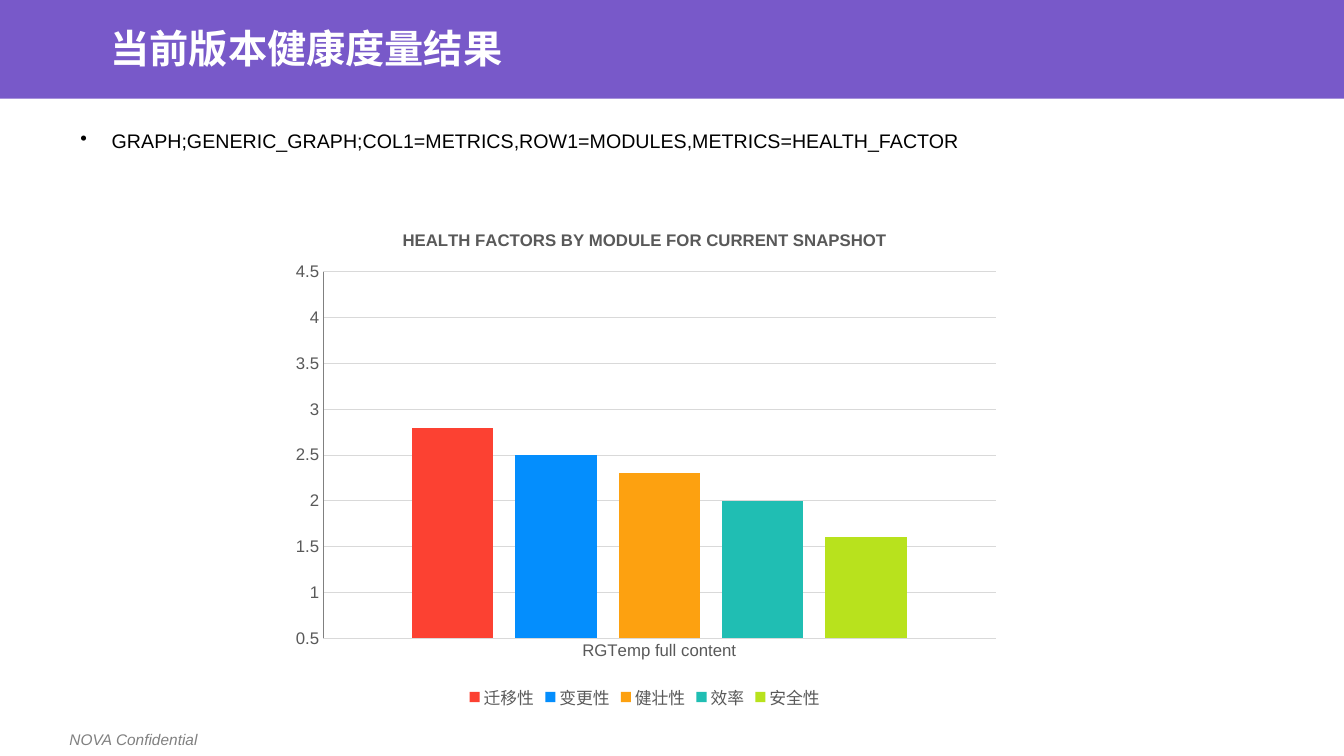
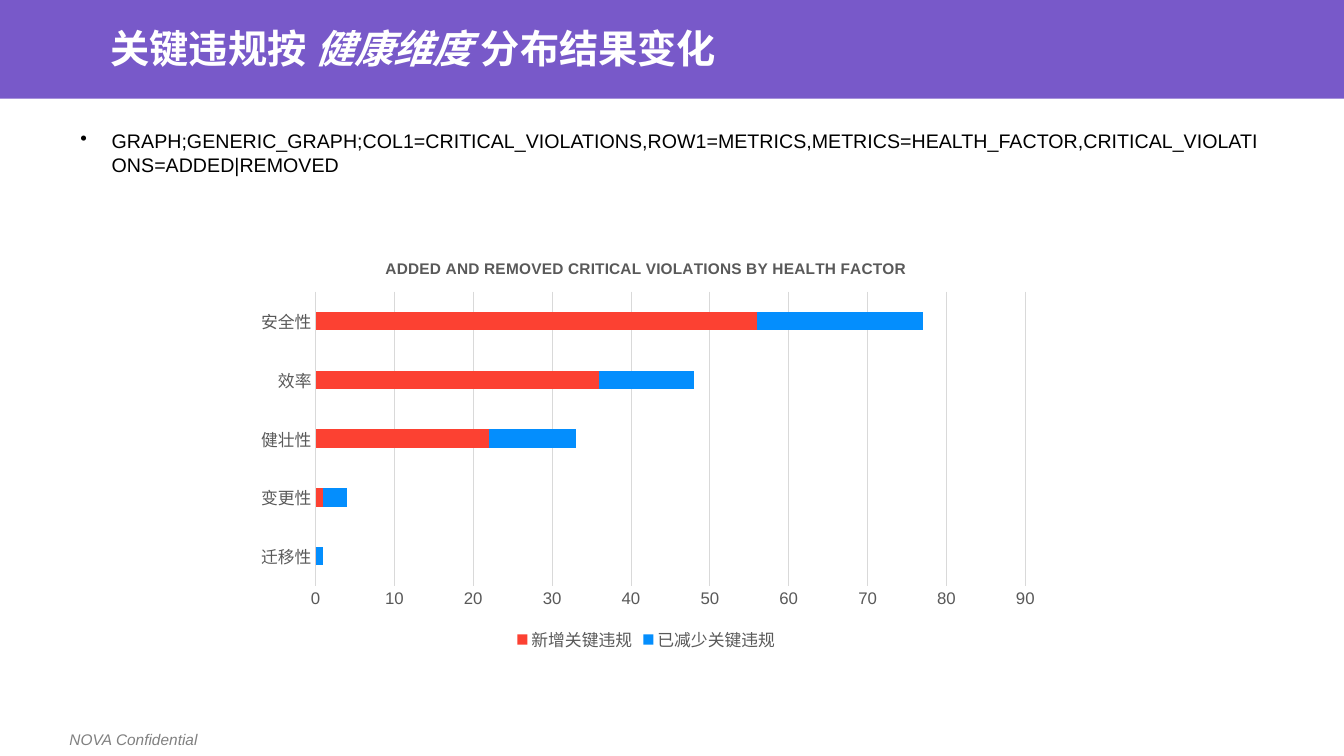
from dataclasses import dataclass
from typing import Any

import pptx
import pptx.chart.data
import pptx.dml.color
import pptx.enum.chart
import pptx.enum.text
import pptx.enum.shapes
import pptx.oxml
import pptx.oxml.ns
import pptx.util

Inches = pptx.util.Inches
Pt = pptx.util.Pt
RGBColor = pptx.dml.color.RGBColor
XL_CHART_TYPE = pptx.enum.chart.XL_CHART_TYPE
MSO_ANCHOR = pptx.enum.text.MSO_ANCHOR
qn = pptx.oxml.ns.qn


@dataclass(frozen=True)
class Theme:
    font: str = "Arial"
    band: str = "7859C9"
    white: str = "FFFFFF"
    body: str = "000000"
    footer: str = "808080"
    chart_text: str = "595959"
    axis: str = "808080"
    grid: str = "D9D9D9"
    series: tuple[str, ...] = ("FC4132", "048EFD", "FDA110", "20BEB3", "B8E21D")
    title_size: int = 28
    body_size: int = 14
    chart_size: int = 12
    footer_size: int = 11
    line_width: float = 0.75


THEME = Theme()


@dataclass(frozen=True)
class Box:
    left: float
    top: float
    width: float
    height: float

    def lengths(self) -> tuple[int, ...]:
        return tuple(Inches(v) for v in (self.left, self.top, self.width, self.height))


@dataclass(frozen=True)
class Run:
    text: str
    italic: bool = False


@dataclass(frozen=True)
class Series:
    name: str
    values: tuple[float, ...]


@dataclass(frozen=True)
class ChartSpec:
    kind: Any
    box: Box
    plot: Box
    title: str
    title_size: int
    categories: tuple[str, ...]
    series: tuple[Series, ...]
    overlap: int
    scale: dict[str, float]
    value_line: bool


@dataclass(frozen=True)
class SlideSpec:
    title: tuple[Run, ...]
    bullet: str
    chart: ChartSpec


BAND_BOX = Box(0, 0, 13.33, 0.98)
TITLE_BOX = Box(1, 0.28, 11.5, 0.44)
BODY_BOX = Box(0.7, 1.23, 11.96, 4.76)
FOOTER_BOX = Box(0.59, 7.19, 1.47, 0.29)
BULLET_INDENT = 0.31

SLIDES = (
    SlideSpec(
        (Run("当前版本健康度量结果"),),
        "GRAPH;GENERIC_GRAPH;COL1=METRICS,ROW1=MODULES,METRICS=HEALTH_FACTOR",
        ChartSpec(
            XL_CHART_TYPE.COLUMN_CLUSTERED,
            Box(2.77, 2.1, 7.25, 4.98),
            Box(0.06, 0.12, 0.92, 0.73),
            "HEALTH FACTORS BY MODULE FOR CURRENT SNAPSHOT",
            12,
            ("RGTemp full content",),
            (
                Series("迁移性", (2.8,)),
                Series("变更性", (2.5,)),
                Series("健壮性", (2.3,)),
                Series("效率", (2,)),
                Series("安全性", (1.6,)),
            ),
            -27,
            {"minimum_scale": 0.5, "maximum_scale": 4.5, "major_unit": 0.5},
            True,
        ),
    ),
    SlideSpec(
        (Run("关键违规按 "), Run("健康维度 ", italic=True), Run("分布结果变化")),
        "GRAPH;GENERIC_GRAPH;COL1=CRITICAL_VIOLATIONS,ROW1=METRICS,"
        "METRICS=HEALTH_FACTOR,CRITICAL_VIOLATIONS=ADDED|REMOVED",
        ChartSpec(
            XL_CHART_TYPE.BAR_STACKED,
            Box(2.41, 2.4, 8, 4.11),
            Box(0.09, 0.12, 0.88, 0.71),
            "ADDED AND REMOVED CRITICAL VIOLATIONS BY HEALTH FACTOR",
            11,
            ("迁移性", "变更性", "健壮性", "效率", "安全性"),
            (
                Series("新增关键违规", (0, 1, 22, 36, 56)),
                Series("已减少关键违规", (1, 3, 11, 12, 21)),
            ),
            100,
            {"minimum_scale": 0, "maximum_scale": 90, "major_unit": 10},
            False,
        ),
    ),
)


def apply_format(target: Any, values: dict[str, Any]) -> None:
    for name, value in values.items():
        setattr(target, name, value)


def style_font(font: Any, size: int, color: str, bold: bool = False, italic: bool = False) -> None:
    apply_format(font, {"name": THEME.font, "size": Pt(size), "bold": bold, "italic": italic})
    font.color.rgb = RGBColor.from_string(color)


def style_line(line: Any, color: str) -> None:
    line.color.rgb = RGBColor.from_string(color)
    line.width = Pt(THEME.line_width)


def fill_solid(fill: Any, color: str) -> None:
    fill.solid()
    fill.fore_color.rgb = RGBColor.from_string(color)


def add_text(
    slide: Any, box: Box, runs: tuple[Run, ...], size: int, color: str,
    bold: bool = False, frame_format: dict[str, Any] | None = None,
) -> Any:
    frame = slide.shapes.add_textbox(*box.lengths()).text_frame
    apply_format(frame, {"word_wrap": True, **(frame_format or {})})
    paragraph = frame.paragraphs[0]
    for item in runs:
        run = paragraph.add_run()
        run.text = item.text
        style_font(run.font, size, color, bold, item.italic)
    return paragraph


def add_frame(slide: Any) -> None:
    band = slide.shapes.add_shape(
        pptx.enum.shapes.MSO_SHAPE.RECTANGLE, *BAND_BOX.lengths()
    )
    band.shadow.inherit = False
    fill_solid(band.fill, THEME.band)
    band.line.fill.background()
    add_text(
        slide, FOOTER_BOX, (Run("NOVA Confidential", italic=True),),
        THEME.footer_size, THEME.footer, frame_format={"word_wrap": False},
    )


def add_bullet(slide: Any, text: str) -> None:
    paragraph = add_text(slide, BODY_BOX, (Run(text),), THEME.body_size, THEME.body)
    paragraph.space_before = Pt(12)
    properties = paragraph._p.get_or_add_pPr()
    indent = Inches(BULLET_INDENT)
    properties.set("marL", str(indent))
    properties.set("indent", str(-indent))
    pptx.oxml.ns.nsdecls("a")
    properties.append(
        pptx.oxml.parse_xml(f'<a:buChar {pptx.oxml.ns.nsdecls("a")} char="•"/>')
    )


def place_plot(chart: Any, plot: Box) -> None:
    area = chart.element.find(f'{qn("c:chart")}/{qn("c:plotArea")}')
    for layout in area.findall(qn("c:layout")):
        area.remove(layout)
    area.insert(0, pptx.oxml.parse_xml(
        f'<c:layout {pptx.oxml.ns.nsdecls("c")}><c:manualLayout>'
        '<c:layoutTarget val="inner"/><c:xMode val="edge"/><c:yMode val="edge"/>'
        f'<c:x val="{plot.left}"/><c:y val="{plot.top}"/>'
        f'<c:w val="{plot.width}"/><c:h val="{plot.height}"/>'
        '</c:manualLayout></c:layout>'
    ))


def style_axes(chart: Any, spec: ChartSpec) -> None:
    no_ticks = pptx.enum.chart.XL_TICK_MARK.NONE
    for axis in (chart.category_axis, chart.value_axis):
        apply_format(axis, {"major_tick_mark": no_ticks, "minor_tick_mark": no_ticks})
        style_font(axis.tick_labels.font, THEME.chart_size, THEME.chart_text)
    style_line(chart.category_axis.format.line, THEME.grid)
    apply_format(chart.value_axis, {"has_major_gridlines": True, **spec.scale})
    style_line(chart.value_axis.major_gridlines.format.line, THEME.grid)
    if spec.value_line:
        style_line(chart.value_axis.format.line, THEME.axis)
    else:
        chart.value_axis.format.line.fill.background()


def add_chart(slide: Any, spec: ChartSpec) -> None:
    data = pptx.chart.data.CategoryChartData()
    data.categories = spec.categories
    for series in spec.series:
        data.add_series(series.name, series.values)
    chart = slide.shapes.add_chart(spec.kind, *spec.box.lengths(), data).chart
    style_font(chart.font, THEME.chart_size, THEME.chart_text)
    apply_format(chart, {"has_title": True, "has_legend": True})
    title = chart.chart_title.text_frame
    title.text = spec.title
    style_font(title.paragraphs[0].runs[0].font, spec.title_size, THEME.chart_text, bold=True)
    apply_format(chart.legend, {
        "position": pptx.enum.chart.XL_LEGEND_POSITION.BOTTOM,
        "include_in_layout": False,
    })
    style_font(chart.legend.font, THEME.chart_size, THEME.chart_text)
    plot = chart.plots[0]
    apply_format(plot, {"gap_width": 219, "overlap": spec.overlap, "vary_by_categories": False})
    for series, color in zip(plot.series, THEME.series):
        series.invert_if_negative = False
        fill_solid(series.format.fill, color)
    style_axes(chart, spec)
    place_plot(chart, spec.plot)


def add_slide(presentation: Any, spec: SlideSpec) -> None:
    slide = presentation.slides.add_slide(presentation.slide_layouts[6])
    add_frame(slide)
    title = add_text(
        slide, TITLE_BOX, spec.title, THEME.title_size, THEME.white, bold=True,
        frame_format={"vertical_anchor": MSO_ANCHOR.MIDDLE, "margin_top": 0, "margin_bottom": 0},
    )
    title.line_spacing = 0.9
    add_chart(slide, spec.chart)
    add_bullet(slide, spec.bullet)


def main() -> None:
    presentation = pptx.Presentation()
    apply_format(presentation, {"slide_width": Inches(13.33), "slide_height": Inches(7.5)})
    for spec in SLIDES:
        add_slide(presentation, spec)
    presentation.save("out.pptx")


if __name__ == "__main__":
    main()
